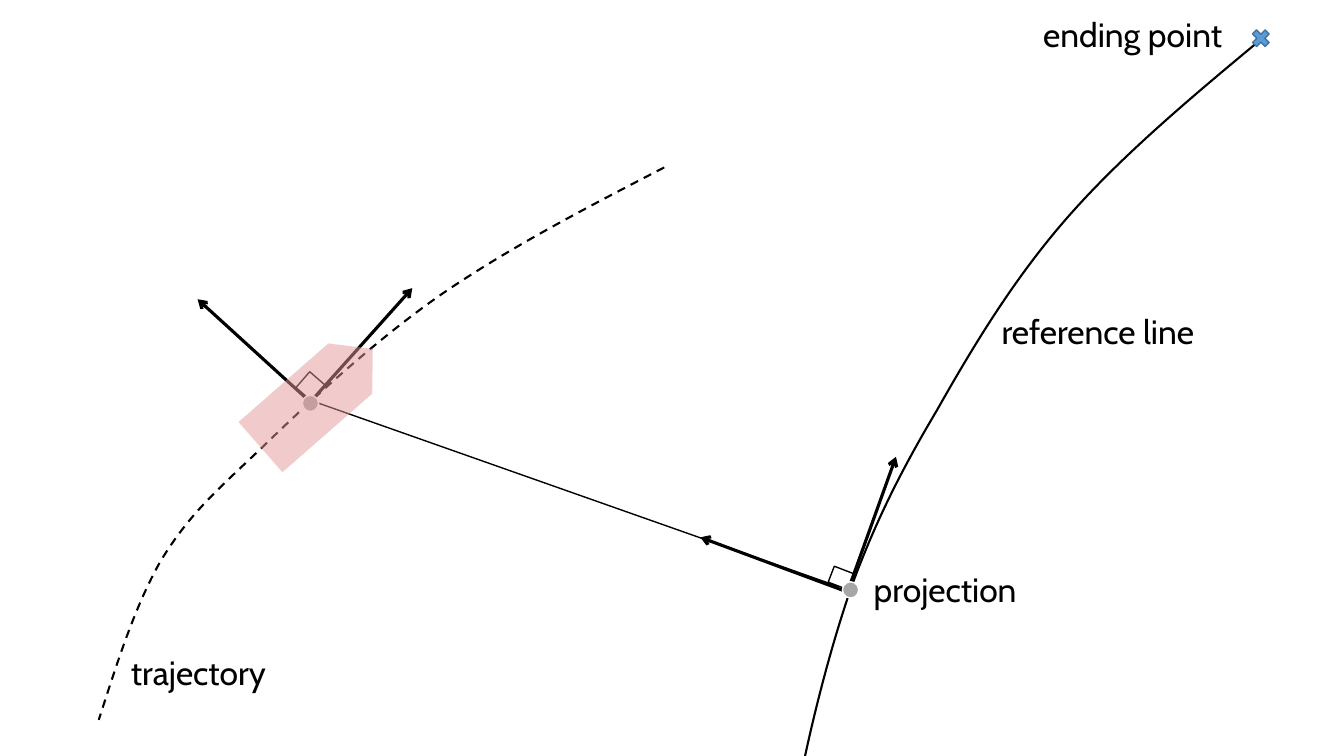
import lxml.etree
import pptx
import pptx.util
import pptx.dml.color
import pptx.enum.dml
import pptx.enum.shapes
import pptx.enum.text
import pptx.oxml.ns

Cm = pptx.util.Cm
Pt = pptx.util.Pt
SHAPES = pptx.enum.shapes.MSO_SHAPE
COLOURS = {"ink": "000000", "dot": "A6A6A6", "edge": "FFFFFF",
           "cross": "5B9BD5", "cross edge": "43739E", "boat": "E5989B"}

LABELS = [
    ("reference line", 24.99, 7.72, 6.02),
    ("trajectory", 3.05, 16.31, 4.42),
    ("ending point", 26.04, 0.23, 5.51),
    ("projection", 21.77, 14.2, 4.57),
]
AXES = [
    ((7.82, 10.13), (10.39, 7.26)),
    ((7.82, 10.13), (4.98, 7.54)),
    ((21.34, 14.96), (22.58, 11.51)),
    ((21.34, 14.91), (17.65, 13.54)),
]
OFFSET_LINE = ((21.13, 14.78), (8.03, 10.16))
RIGHT_ANGLES = [((7.57, 9.47, 0.51, 0.53), 41), ((20.93, 14.35, 0.53, 0.43), 21)]
DOTS = [(7.62, 9.96, 0.41, 0.41), (21.23, 14.66, 0.41, 0.41)]
ENDING_CROSS = (31.47, 0.66, 0.61, 0.61)
BOAT = (6.1, 9.19, 3.76, 1.68)
TRAJECTORY = [
    (16.74, 4.22),
    (14.73, 5.26), (12.73, 6.3), (11.02, 7.49),
    (9.32, 8.69), (7.67, 10.24), (6.53, 11.35),
    (5.36, 12.45), (4.75, 13), (4.06, 14.12),
    (3.4, 15.27), (2.95, 16.71), (2.49, 18.14),
]
REFERENCE_LINE = [
    (31.88, 0.91),
    (30.07, 2.41), (28.3, 3.89), (26.92, 5.46),
    (25.53, 7.04), (24.49, 8.79), (23.6, 10.36),
    (22.68, 11.91), (22.05, 13.18), (21.46, 14.78),
    (20.9, 16.41), (20.42, 18.31), (20.09, 20.02),
    (19.79, 21.69), (19.66, 23.29), (19.53, 24.89),
]


def colour(name):
    return pptx.dml.color.RGBColor.from_string(COLOURS[name])


def add_child(parent, tag, **attributes):
    return lxml.etree.SubElement(parent, pptx.oxml.ns.qn(tag), attributes)


def style_line(line, name, width):
    line.color.rgb = colour(name)
    line.width = Pt(width)


def add_line(drawing, start, end, width, arrow=False):
    ends = [Cm(value) for value in start + end]
    connector = drawing.add_connector(pptx.enum.shapes.MSO_CONNECTOR.STRAIGHT, *ends)
    style_line(connector.line, "ink", width)
    if arrow:
        outline = connector._element.spPr.find(pptx.oxml.ns.qn("a:ln"))
        add_child(outline, "a:tailEnd", type="arrow")
    add_child(connector._element.spPr, "a:effectLst")


def add_curve(drawing, points, dashed=False):
    corners = [(Cm(x), Cm(y)) for x, y in points]
    builder = drawing.build_freeform(*corners[0])
    builder.add_line_segments(corners[1:], close=False)
    curve = builder.convert_to_shape()
    curve.shadow.inherit = False
    curve.fill.background()
    style_line(curve.line, "ink", 1.5)
    if dashed:
        curve.line.dash_style = pptx.enum.dml.MSO_LINE.DASH
    outline = next(curve._element.iter(pptx.oxml.ns.qn("a:path")))
    segments = outline.findall(pptx.oxml.ns.qn("a:lnTo"))
    for first in range(0, len(segments), 3):
        bezier = add_child(outline, "a:cubicBezTo")
        for segment in segments[first:first + 3]:
            bezier.append(segment[0])
            outline.remove(segment)


def add_mark(drawing, kind, frame, fill=None, edge=None, turn=0):
    mark = drawing.add_shape(kind, *[Cm(value) for value in frame])
    mark.shadow.inherit = False
    mark.rotation = turn
    if fill:
        mark.fill.solid()
        mark.fill.fore_color.rgb = colour(fill)
    else:
        mark.fill.background()
    if edge:
        style_line(mark.line, edge, 1)
    else:
        mark.line.fill.background()
    return mark


def add_label(drawing, text, left, top, width):
    box = drawing.add_textbox(Cm(left), Cm(top), Cm(width), Cm(1.27))
    box.text_frame.word_wrap = True
    box.text_frame.auto_size = pptx.enum.text.MSO_AUTO_SIZE.SHAPE_TO_FIT_TEXT
    para = box.text_frame.paragraphs[0]
    para.text = text
    para.font.name = "Cabin"
    para.font.size = Pt(24)
    para.font.color.rgb = colour("ink")


def main():
    deck = pptx.Presentation()
    deck.slide_width, deck.slide_height = Cm(33.87), Cm(19.05)
    page = deck.slides.add_slide(deck.slide_layouts[6])
    drawing = page.shapes.add_group_shape().shapes

    for start, end in AXES:
        add_line(drawing, start, end, 2.25, arrow=True)
    add_line(drawing, *OFFSET_LINE, 1)
    add_curve(drawing, TRAJECTORY, dashed=True)
    add_curve(drawing, REFERENCE_LINE)
    for frame, turn in RIGHT_ANGLES:
        add_mark(drawing, SHAPES.RECTANGLE, frame, edge="ink", turn=turn)
    for label in LABELS:
        add_label(drawing, *label)
    for frame in DOTS:
        add_mark(drawing, SHAPES.OVAL, frame, "dot", "edge")
    add_mark(drawing, SHAPES.MATH_MULTIPLY, ENDING_CROSS, "cross", "cross edge")

    boat = add_mark(drawing, SHAPES.PENTAGON, BOAT, "boat", turn=318.8)
    boat.adjustments[0] = 0.448
    tint = next(boat._element.spPr.iter(pptx.oxml.ns.qn("a:srgbClr")))
    add_child(tint, "a:alpha", val="50000")

    deck.save("out.pptx")


if __name__ == "__main__":
    main()
